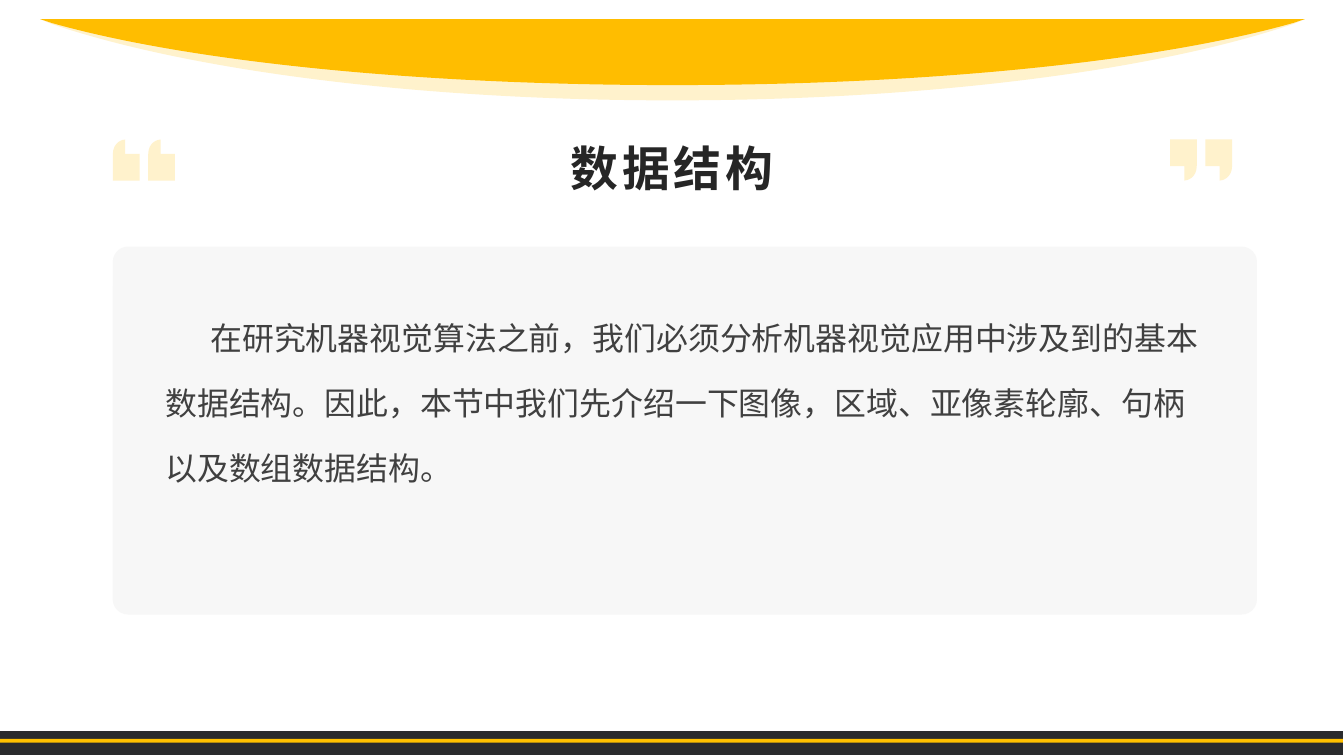
from lxml import etree
from pptx import Presentation
from pptx.dml.color import RGBColor
from pptx.enum.shapes import MSO_SHAPE
from pptx.enum.text import MSO_ANCHOR, MSO_AUTO_SIZE, PP_ALIGN
from pptx.oxml.ns import qn
from pptx.util import Inches, Pt

RECTANGLE, ROUNDED = MSO_SHAPE.RECTANGLE, MSO_SHAPE.ROUNDED_RECTANGLE
TOP, BOTTOM = MSO_ANCHOR.TOP, MSO_ANCHOR.BOTTOM
LEFT, CENTER = PP_ALIGN.LEFT, PP_ALIGN.CENTER
NO_AUTOFIT = MSO_AUTO_SIZE.NONE

COLORS = {
    "dark": "2A2B2D", "stripe": "FFC000", "amber": "FFBD00", "cream": "FFF2CC",
    "panel": "F2F2F2", "title": "262626", "body": "404040",
}
SLIDE_WIDTH, SLIDE_HEIGHT = 14.06, 7.91
ARC_LEFT, ARC_RIGHT, ARC_TOP = 0.42, 13.65, 0.2
QUOTE_WIDTH, QUOTE_HEIGHT = 0.28, 0.43


class SlideBuilder:
    """Holds the style and the slide being built."""

    def __init__(self, slide, font="Noto Sans CJK SC", latin_font="Arial"):
        self.slide = slide
        self.font = font
        self.latin_font = latin_font

    def paint(self, shape, color, opacity=None):
        shape.shadow.inherit = False
        shape.fill.solid()
        shape.fill.fore_color.rgb = RGBColor.from_string(COLORS[color])
        shape.line.fill.background()
        if opacity is not None:
            color_element = shape.element.spPr.find(".//" + qn("a:srgbClr"))
            etree.SubElement(color_element, qn("a:alpha"), val=str(opacity * 1000))

    def block(self, kind, left, top, width, height, color, opacity=None):
        shape = self.slide.shapes.add_shape(
            kind, Inches(left), Inches(top), Inches(width), Inches(height))
        self.paint(shape, color, opacity)
        return shape

    def outline(self, points, curve_starts, color):
        """Closed outline; three points from each curve start form one curve."""
        points = [(Inches(x), Inches(y)) for x, y in points]
        builder = self.slide.shapes.build_freeform(*points[0], scale=1.0)
        builder.add_line_segments(points[1:], close=True)
        shape = builder.convert_to_shape()
        self.paint(shape, color)

        segments = shape.element.findall(".//" + qn("a:lnTo"))
        for start in curve_starts:
            lines = segments[start - 1:start + 2]
            bezier = etree.Element(qn("a:cubicBezTo"))
            lines[0].addprevious(bezier)
            for line in lines:
                bezier.append(line[0])
                line.getparent().remove(line)

    def arc(self, edge, shoulder, depth, color):
        center = (ARC_LEFT + ARC_RIGHT) / 2
        right_half = [(ARC_RIGHT, ARC_TOP), (13.53, edge), (12.12, shoulder),
                      (9.74, depth), (center, depth)]
        left_half = [(2 * center - x, y) for x, y in right_half[-2:0:-1]]
        points = [(ARC_LEFT, ARC_TOP)] + right_half + left_half
        self.outline(points, (3, 6), color)

    def quote_mark(self, left, top, opening):
        points = [(0, 0), (0.28, 0), (0.28, 0.27), (0.28, 0.41), (0.17, 0.43),
                  (0.15, 0.43), (0.15, 0.28), (0, 0.28)]
        if opening:
            points = [(QUOTE_WIDTH - x, QUOTE_HEIGHT - y) for x, y in points]
        self.outline([(left + x, top + y) for x, y in points], (3,), "cream")

    def text(self, placeholder, box, content, size, color, anchor, align,
             line_spacing, before=0, bold=False, tracking=0, indent=0):
        # Bring the placeholder in front of the shapes drawn so far
        placeholder.element.getparent().append(placeholder.element)
        placeholder.left, placeholder.top, placeholder.width, placeholder.height = (
            Inches(length) for length in box)
        frame = placeholder.text_frame
        frame.word_wrap = True
        frame.auto_size = NO_AUTOFIT
        frame.vertical_anchor = anchor

        paragraph = frame.paragraphs[0]
        paragraph.alignment = align
        paragraph.line_spacing = line_spacing
        paragraph.space_before = Pt(before)
        properties = paragraph._p.get_or_add_pPr()
        properties.set("marL", "0")
        properties.set("indent", str(Inches(indent)))
        etree.SubElement(properties, qn("a:buNone"))

        run = paragraph.add_run()
        run.text = content
        run.font.size = Pt(size)
        run.font.bold = bold
        run.font.name = self.latin_font
        run.font.color.rgb = RGBColor.from_string(COLORS[color])
        run_properties = run._r.get_or_add_rPr()
        run_properties.set("spc", str(tracking * 100))
        etree.SubElement(run_properties, qn("a:ea"), typeface=self.font)


def main():
    presentation = Presentation()
    presentation.slide_width = Inches(SLIDE_WIDTH)
    presentation.slide_height = Inches(SLIDE_HEIGHT)
    slide = presentation.slides.add_slide(presentation.slide_layouts[1])
    builder = SlideBuilder(slide)

    # Footer bands
    for top, height, color in ((7.65, 0.09, "dark"), (7.73, 0.09, "stripe"),
                               (7.77, 0.13, "dark")):
        builder.block(RECTANGLE, -0.01, top, SLIDE_WIDTH, height, color)

    # Text panel
    panel = builder.block(ROUNDED, 1.18, 2.58, 11.97, 3.85, "panel", opacity=60)
    panel.adjustments[0] = 0.042

    # Pale header arc
    builder.arc(0.25, 0.73, 1.05, "cream")

    # Title and body
    builder.text(slide.shapes.title, (1.91, 1.25, 10.24, 0.85), "数据结构",
                 36, "title", BOTTOM, CENTER, 1.2, bold=True, tracking=3)
    builder.text(slide.placeholders[1], (1.63, 3, 11.06, 4.06),
                 "在研究机器视觉算法之前，我们必须分析机器视觉应用中涉及到的基本"
                 "数据结构。因此，本节中我们先介绍一下图像，区域、亚像素轮廓、句柄"
                 "以及数组数据结构。",
                 24, "body", TOP, LEFT, 1.7, before=10, indent=0.47)

    # Bright header arc
    builder.arc(0.24, 0.64, 0.89, "amber")

    # Quotation marks
    for first_left, opening in ((12.24, False), (1.18, True)):
        for position in range(2):
            builder.quote_mark(first_left + position * 0.37, 1.46, opening)

    presentation.save("out.pptx")


if __name__ == "__main__":
    main()
